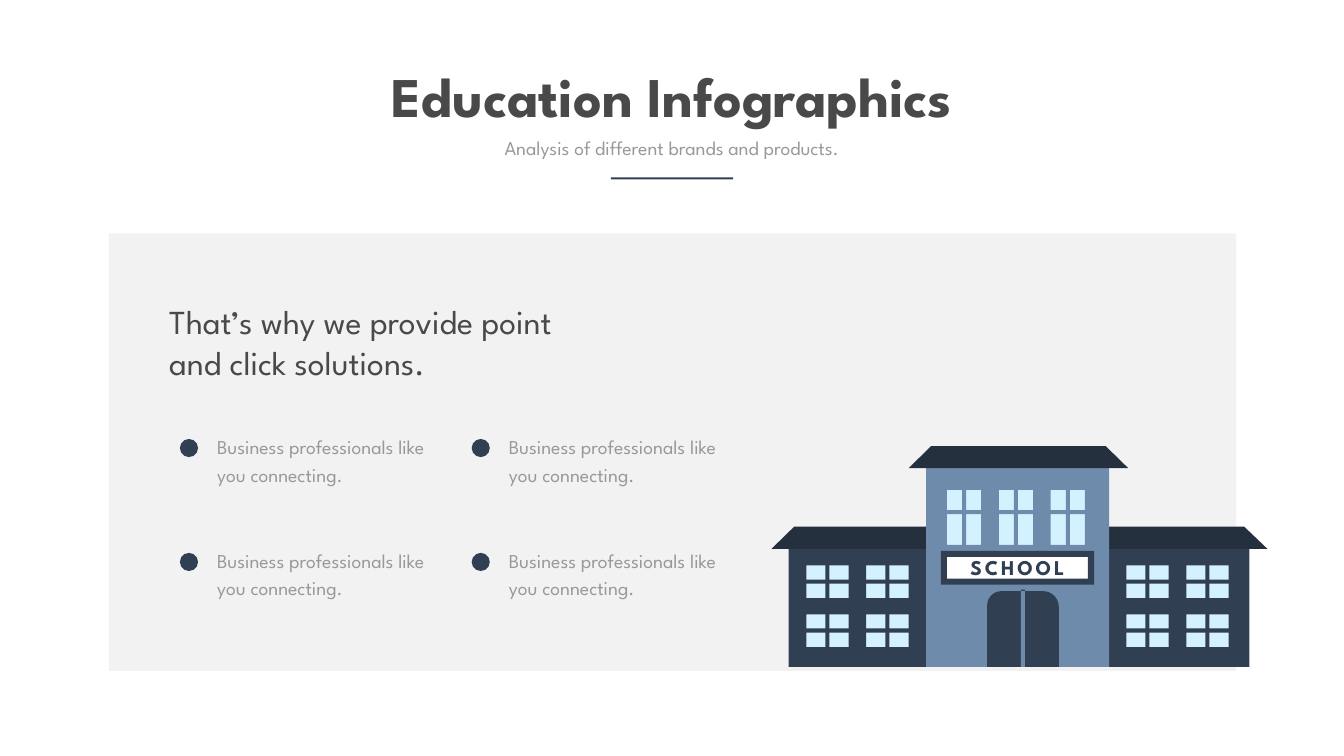
"""Builds the education infographic slide with a school building."""
import math
from dataclasses import dataclass
from itertools import product

from pptx import Presentation
from pptx import util as u
from pptx.dml.color import RGBColor
from pptx.enum import shapes, text


@dataclass(frozen=True)
class Theme:
    font: str = "League Spartan"
    panel: str = "F2F2F2"
    heading: str = "494949"
    body: str = "999999"
    navy: str = "304052"
    roof: str = "24303D"
    tower: str = "6F8BAB"
    glass: str = "D4F1FF"
    white: str = "FFFFFF"
    title_size: int = 80
    heading_size: int = 48
    body_size: int = 28
    sign_size: int = 30


class SlideBuilder:
    def __init__(self, slide, theme):
        self.slide = slide
        self.theme = theme

    def paint(self, shape, color):
        shape.fill.solid()
        shape.fill.fore_color.rgb = RGBColor.from_string(color)
        shape.line.fill.background()
        shape.shadow.inherit = False

    def block(self, left, top, width, height, color, kind=shapes.MSO_SHAPE.RECTANGLE):
        box = map(u.Inches, (left, top, width, height))
        self.paint(self.slide.shapes.add_shape(kind, *box), color)

    def outline(self, color, *contours):
        contours = [[(u.Inches(x), u.Inches(y)) for x, y in points] for points in contours]
        builder = self.slide.shapes.build_freeform(*contours[0][0])
        builder.add_line_segments(contours[0][1:], close=True)
        for points in contours[1:]:
            builder.move_to(*points[0])
            builder.add_line_segments(points[1:], close=True)
        self.paint(builder.convert_to_shape(), color)

    def label(self, left, top, width, height, words, size, color, bold=False,
              align=text.PP_ALIGN.LEFT, wrap=True, line_spacing=None, tracking=0):
        box = self.slide.shapes.add_textbox(*map(u.Inches, (left, top, width, height)))
        frame = box.text_frame
        frame.text = words
        frame.word_wrap = wrap
        frame.auto_size = text.MSO_AUTO_SIZE.SHAPE_TO_FIT_TEXT
        paragraph = frame.paragraphs[0]
        paragraph.alignment = align
        if line_spacing:
            paragraph.line_spacing = u.Pt(line_spacing)
        run = paragraph.runs[0]
        run.font.name = self.theme.font
        run.font.size = u.Pt(size)
        run.font.bold = bold
        run.font.color.rgb = RGBColor.from_string(color)
        if tracking:
            run._r.get_or_add_rPr().set("spc", str(tracking * 100))

    def wall(self, box, windows, color):
        self.outline(color, corners(*box), *(corners(*window) for window in windows))

    def bars(self, windows, middle, color):
        for left, top, width, height in windows:
            self.block(left + width / 2 - 0.04, top - 0.05, 0.08, height + 0.1, color)
            self.block(left + width / 2 - 0.48, top + middle, 0.97, 0.08, color)

    def door(self, outer, inner, top, bottom, radius):
        side = math.copysign(1, inner - outer)
        center = outer + side * radius
        angles = [math.radians(step * 10) for step in range(10)]
        arc = [(center - side * radius * math.cos(angle), top + radius - radius * math.sin(angle))
               for angle in angles]
        self.outline(self.theme.navy, [(outer, bottom), *arc, (inner, top), (inner, bottom)])


def corners(left, top, width, height):
    right, bottom = left + width, top + height
    return [(left, top), (right, top), (right, bottom), (left, bottom)]


def draw_header(builder):
    theme = builder.theme
    center = text.PP_ALIGN.CENTER
    builder.block(2.16, 4.63, 22.37, 8.68, theme.panel)
    builder.label(6.97, 1.17, 12.73, 1.45, "Education Infographics", theme.title_size,
                  theme.heading, bold=True, align=center, wrap=False)
    builder.label(8.55, 2.65, 9.56, 0.57, "Analysis of different brands and products.",
                  theme.body_size, theme.body, align=center)
    builder.block(12.12, 3.52, 2.43, 0.04, theme.navy)


def draw_school(builder):
    theme = builder.theme
    wings = [(15.65, 2.73), (22, 2.79)]
    wing_windows = [(left + offset, top, 0.84, 0.65) for left, _ in wings
                    for offset, top in product((0.35, 1.54), (11.22, 12.19))]
    tower_windows = [(18.79 + 1.03 * column, 9.72, 0.68, 1.09) for column in range(3)]

    builder.block(15.89, 11.08, 2.4, 2.01, theme.glass)
    builder.block(22.07, 11.03, 2.54, 2.01, theme.glass)
    builder.block(18.7, 9.44, 3.08, 2, theme.glass)
    for index, (left, width) in enumerate(wings):
        windows = wing_windows[index * 4:index * 4 + 4]
        builder.wall((left, 10.82, width, 2.41), windows, theme.navy)
    builder.outline(theme.roof, [(18.45, 10.89), (15.31, 10.89), (15.76, 10.45), (18.45, 10.45)])
    builder.outline(theme.roof, [(21.9, 10.89), (25.15, 10.89), (24.69, 10.45), (21.9, 10.45)])
    builder.wall((18.38, 9.22, 3.63, 4.01), tower_windows, theme.tower)
    builder.outline(theme.roof, [(18.48, 8.85), (21.94, 8.85), (22.39, 9.29), (18.03, 9.29)])

    builder.block(18.73, 10.99, 2.92, 0.55, theme.white)
    builder.wall((18.67, 10.93, 3.04, 0.67), [(18.79, 11.05, 2.8, 0.43)], theme.navy)
    builder.label(18.67, 10.96, 3.04, 0.62, "SCHOOL", theme.sign_size, theme.navy, bold=True,
                  align=text.PP_ALIGN.CENTER, wrap=False, tracking=4)

    builder.bars(tower_windows, 0.4, theme.tower)
    builder.bars(wing_windows, 0.28, theme.navy)
    builder.door(19.59, 20.26, 11.73, 13.23, 0.28)
    builder.door(21.01, 20.34, 11.73, 13.23, 0.31)
    builder.block(20.26, 11.7, 0.08, 0.03, theme.navy)
    builder.block(20.26, 11.73, 0.08, 1.5, theme.tower)


def draw_points(builder):
    theme = builder.theme
    builder.label(3.26, 5.93, 8.85, 1.72, "That’s why we provide point and click solutions.",
                  theme.heading_size, theme.heading)
    for left, top in product((3.57, 9.36), (8.71, 10.97)):
        builder.block(left, top, 0.36, 0.36, theme.navy, shapes.MSO_SHAPE.OVAL)
        builder.label(left + 0.64, top - 0.19, 4.34, 1.15,
                      "Business professionals like you connecting.",
                      theme.body_size, theme.body, line_spacing=38.6)


def main():
    presentation = Presentation()
    presentation.slide_width = u.Inches(26.67)
    presentation.slide_height = u.Inches(15)
    slide = presentation.slides.add_slide(presentation.slide_layouts[6])
    builder = SlideBuilder(slide, Theme())
    draw_header(builder)
    draw_school(builder)
    draw_points(builder)
    presentation.save("out.pptx")


if __name__ == "__main__":
    main()
